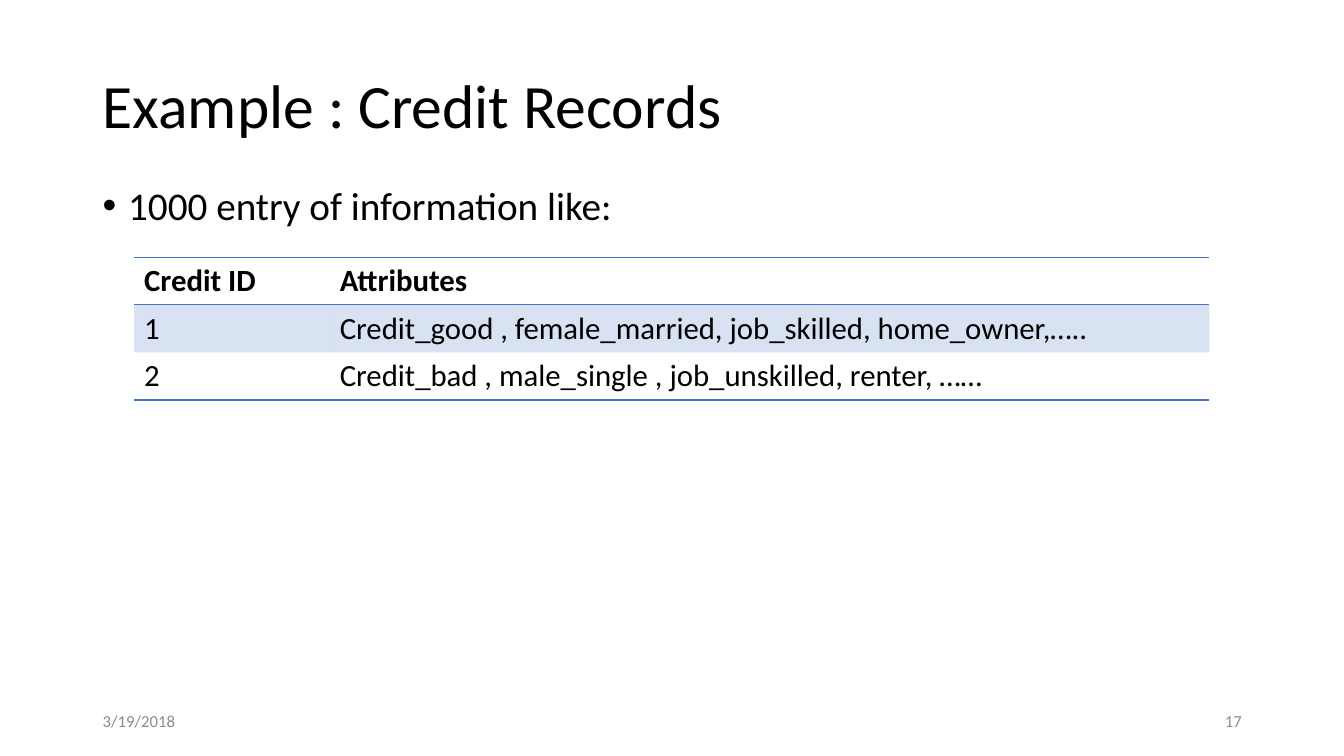
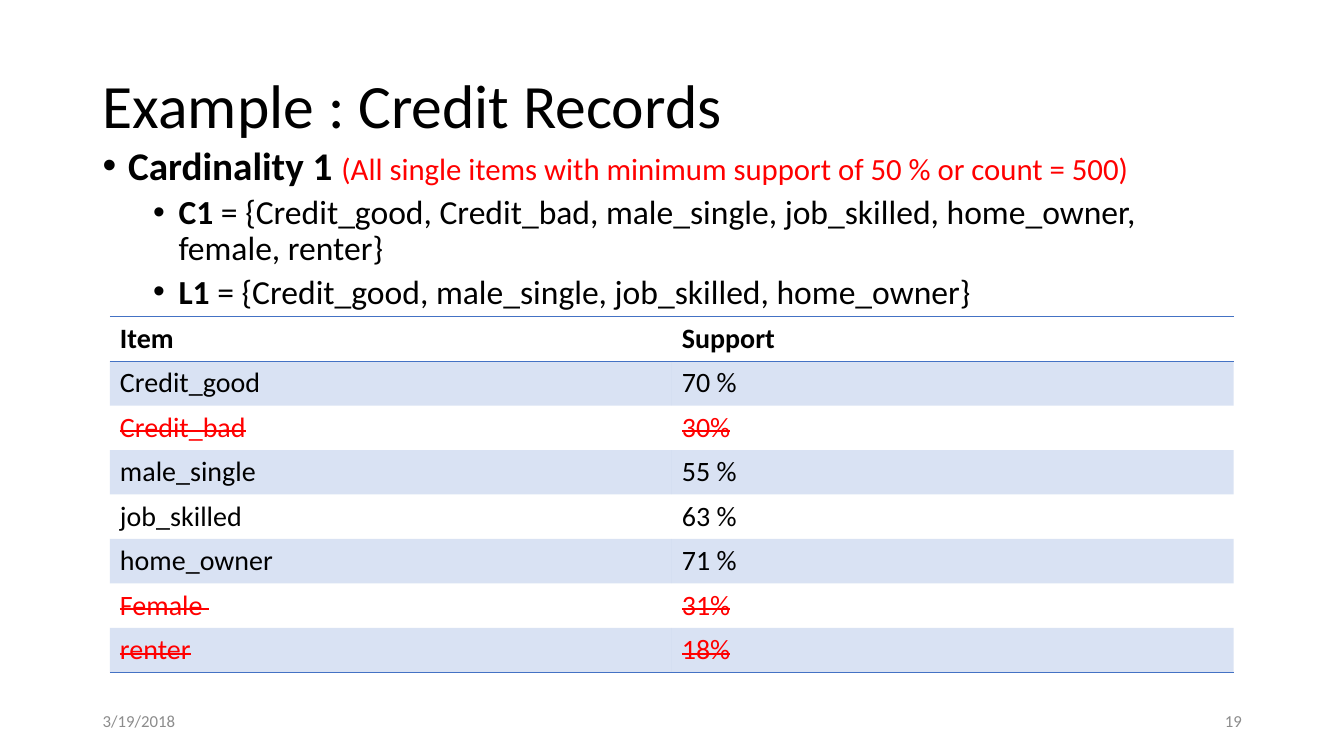
from lxml.etree import SubElement
from pptx import Presentation
from pptx.dml.color import RGBColor
from pptx.enum.text import MSO_ANCHOR as Anchor, PP_ALIGN as Align
from pptx.oxml.ns import qn
from pptx.util import Cm, Pt

FONT = "Calibri"
BLACK, RED, GREY, BLUE = "000000", "FF0000", "8C8C8C", "4472C4"
PLAIN_TABLE = "{2D5ABB26-0587-4C30-8999-92F81FD0307C}"
LEFT, WIDTH = 2.34, 29.21
TITLE_BOX = (LEFT, 0.89, WIDTH, 3.68)
FOOTER_TOP, FOOTER_WIDTH, FOOTER_HEIGHT = 17.65, 7.62, 1.02
LEVELS = (
    {"margin": 0.64, "before": 10},
    {"margin": 1.91, "before": 5},
)


def color(value):
    return RGBColor.from_string(value)


def add_span(para, text, size, tint=BLACK, bold=False, strike=False):
    span = para.add_run()
    span.text = text
    for name, value in {"name": FONT, "size": Pt(size), "bold": bold}.items():
        setattr(span.font, name, value)
    span.font.color.rgb = color(tint)
    if strike:
        span.font._element.set("strike", "sngStrike")


def add_frame(page, box, anchor=Anchor.TOP):
    frame = page.shapes.add_textbox(*map(Cm, box)).text_frame
    frame.word_wrap = True
    frame.vertical_anchor = anchor
    return frame


def add_title(page, box, text):
    para = add_frame(page, box, Anchor.MIDDLE).paragraphs[0]
    para.line_spacing = 0.9
    add_span(para, text, 44)


def add_footer(page, number):
    right = LEFT + WIDTH - FOOTER_WIDTH
    for left, text, align in ((LEFT, "3/19/2018", Align.LEFT), (right, number, Align.RIGHT)):
        box = (left, FOOTER_TOP, FOOTER_WIDTH, FOOTER_HEIGHT)
        para = add_frame(page, box, Anchor.MIDDLE).paragraphs[0]
        para.alignment = align
        add_span(para, text, 12, GREY)


def add_bullets(page, box, items):
    frame = add_frame(page, box)
    for index, (level, spans) in enumerate(items):
        para = frame.add_paragraph() if index else frame.paragraphs[0]
        style = LEVELS[level]
        for name, value in {"level": level, "line_spacing": 0.9,
                            "space_before": Pt(style["before"])}.items():
            setattr(para, name, value)
        properties = para._p.get_or_add_pPr()
        properties.set("marL", str(Cm(style["margin"])))
        properties.set("indent", str(-Cm(LEVELS[0]["margin"])))
        SubElement(properties, qn("a:buFont"), typeface="Arial")
        SubElement(properties, qn("a:buChar"), char="•")
        for span in spans:
            add_span(para, **span)


def add_blue(parent, opacity=100):
    fill = SubElement(parent, qn("a:solidFill"))
    tone = SubElement(fill, qn("a:srgbClr"), val=BLUE)
    if opacity < 100:
        SubElement(tone, qn("a:alpha"), val=str(opacity * 1000))


def style_cell(cell, edges, banded):
    properties = cell._tc.get_or_add_tcPr()
    for edge in edges:
        add_blue(SubElement(properties, qn(f"a:{edge}"), w=str(Pt(1))))
    if banded:
        add_blue(properties, 20)
    else:
        cell.fill.background()


def add_records(page, left, top, widths, row_height, size, rows, dropped=()):
    box = (left, top, sum(widths), row_height * len(rows))
    table = page.shapes.add_table(len(rows), len(widths), *map(Cm, box)).table
    table._tbl.tblPr.find(qn("a:tableStyleId")).text = PLAIN_TABLE
    for column, width in zip(table.columns, widths):
        column.width = Cm(width)
    for index, texts in enumerate(rows):
        table.rows[index].height = Cm(row_height)
        edges = {0: ("lnT", "lnB"), len(rows) - 1: ("lnB",)}.get(index, ())
        struck = index in dropped
        for cell, text in zip(table.rows[index].cells, texts):
            add_span(cell.text_frame.paragraphs[0], text, size,
                     RED if struck else BLACK, index == 0, struck)
            style_cell(cell, edges, index % 2 == 1)


def add_page(deck, number):
    page = deck.slides.add_slide(deck.slide_layouts[6])
    add_title(page, TITLE_BOX, "Example : Credit Records")
    add_footer(page, number)
    return page


def add_entries_page(deck):
    page = add_page(deck, "17")
    add_bullets(page, (LEFT, 4.57, WIDTH, 12.09), [
        (0, [{"text": "1000 entry of information like:", "size": 28}]),
    ])
    add_records(page, 3.38, 6.48, (4.93, 22.17), 1.2, 22, [
        ("Credit ID", "Attributes"),
        ("1", "Credit_good , female_married, job_skilled, home_owner,….."),
        ("2", "Credit_bad , male_single , job_unskilled, renter, ……"),
    ])


def add_support_page(deck):
    page = add_page(deck, "19")
    sets = (
        ("C1", " = {Credit_good, Credit_bad, male_single, job_skilled, home_owner, female, renter}"),
        ("L1", " = {Credit_good, male_single, job_skilled, home_owner}"),
    )
    heading = (0, [
        {"text": "Cardinality 1 ", "size": 28, "bold": True},
        {"text": "(All single items with minimum support of 50 % or count = 500)",
         "size": 22, "tint": RED},
    ])
    add_bullets(page, (LEFT, 3.56, WIDTH, 14.78), [heading] + [
        (1, [{"text": name, "size": 24, "bold": True}, {"text": members, "size": 24}])
        for name, members in sets
    ])
    add_records(page, 2.77, 7.98, (14.16, 14.16), 1.12, 20, [
        ("Item ", "Support"),
        ("Credit_good ", "70 %"),
        ("Credit_bad", "30%"),
        ("male_single ", "55 %"),
        ("job_skilled", "63 %"),
        ("home_owner", "71 %"),
        ("Female ", "31%"),
        ("renter", "18%"),
    ], dropped=(2, 6, 7))


deck = Presentation()
deck.slide_width, deck.slide_height = Cm(33.87), Cm(19.05)
add_entries_page(deck)
add_support_page(deck)
deck.save("out.pptx")
